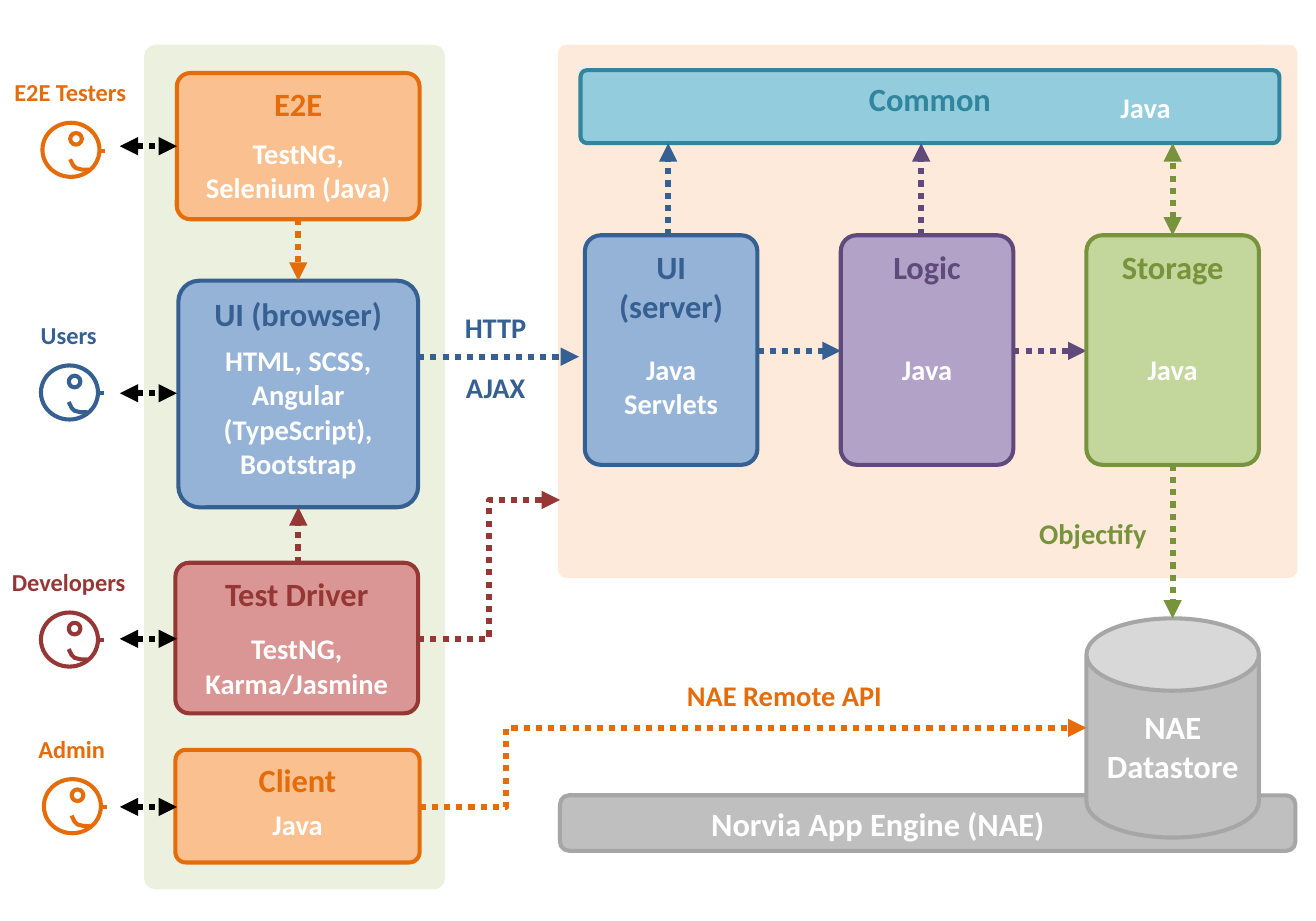
from dataclasses import dataclass

import pptx
import pptx.dml.color
import pptx.enum.dml
import pptx.enum.shapes
import pptx.enum.text
import pptx.oxml
import pptx.oxml.ns
import pptx.util

Inches = pptx.util.Inches
Shapes = pptx.enum.shapes.MSO_SHAPE
Anchor = pptx.enum.text.MSO_ANCHOR


@dataclass(frozen=True)
class Theme:
    """Colours as (fill, line) pairs, type sizes and line widths in points."""
    font: str = "Calibri"
    heading: int = 16
    body: int = 14
    caption: int = 12
    outline: int = 2
    flow: int = 3
    white: str = "FFFFFF"
    black: str = "000000"
    orange: tuple = ("FAC090", "E46C0A")
    blue: tuple = ("95B3D7", "376092")
    red: tuple = ("D99694", "953735")
    purple: tuple = ("B3A2C7", "604A7B")
    green: tuple = ("C3D69B", "77933C")
    teal: tuple = ("93CDDD", "31859C")
    grey: tuple = ("BFBFBF", "A6A6A6")
    client_area: tuple = ("EBF1DE", "EBF1DE")
    server_area: tuple = ("FDEADA", "FDEADA")


@dataclass(frozen=True)
class Box:
    """A rectangle in inches."""
    left: float
    top: float
    width: float
    height: float

    def inner(self, dx, dy, width, height):
        """Return a box offset from this one's top left corner."""
        return Box(self.left + dx, self.top + dy, width, height)

    def emu(self):
        """Return left, top, width and height as lengths."""
        return [Inches(v) for v in (self.left, self.top, self.width, self.height)]


THEME = Theme()


def rgb(code):
    """Turn a hex code into a colour."""
    return pptx.dml.color.RGBColor.from_string(code)


def write(shape, text, size, color, anchor=Anchor.TOP):
    """Put centred bold text into a shape."""
    frame = shape.text_frame
    frame.word_wrap = True
    frame.vertical_anchor = anchor
    frame.text = text
    for para in frame.paragraphs:
        para.alignment = pptx.enum.text.PP_ALIGN.CENTER
        para.font.name = THEME.font
        para.font.size = pptx.util.Pt(size)
        para.font.bold = True
        para.font.color.rgb = rgb(color)


def label(page, box, text, size, color, anchor=Anchor.TOP):
    """Add a text box."""
    write(page.shapes.add_textbox(*box.emu()), text, size, color, anchor)


def outline(shape, color):
    """Give a shape or connector a plain outline without a shadow."""
    shape.line.color.rgb = rgb(color)
    shape.line.width = pptx.util.Pt(THEME.outline)


def block(page, box, colors, kind=Shapes.ROUNDED_RECTANGLE, bend=None):
    """Add a filled, outlined shape."""
    shape = page.shapes.add_shape(kind, *box.emu())
    shape.shadow.inherit = False
    shape.fill.solid()
    shape.fill.fore_color.rgb = rgb(colors[0])
    outline(shape, colors[1])
    if bend is not None:
        shape.adjustments[0] = bend
    return shape


def component(page, box, colors, title, tech="", tech_dy=0):
    """Add a titled block with its technologies below the title."""
    write(block(page, box, colors, bend=0.092), title, THEME.heading, colors[1])
    if tech:
        tech_box = box.inner(0, tech_dy, box.width, box.height - tech_dy)
        label(page, tech_box, tech, THEME.body, THEME.white)


def connector(page, start, end, color, kind=pptx.enum.shapes.MSO_CONNECTOR.STRAIGHT):
    """Add a plain line between two points."""
    line = page.shapes.add_connector(kind, *[Inches(v) for v in (*start, *end)])
    outline(line, color)
    line._element.spPr.append(pptx.oxml.parse_xml(
        "<a:effectLst %s/>" % pptx.oxml.ns.nsdecls("a")))
    return line


def arrow(page, start, end, color, both=False, bend=None):
    """Add a dotted arrow; bend is the share of the width before an elbow."""
    kinds = pptx.enum.shapes.MSO_CONNECTOR
    line = connector(page, start, end, color,
                     kinds.STRAIGHT if bend is None else kinds.ELBOW)
    line.line.width = pptx.util.Pt(THEME.flow)
    line.line.dash_style = pptx.enum.dml.MSO_LINE.ROUND_DOT
    names = pptx.oxml.ns.nsdecls("a")
    for tag in ["headEnd", "tailEnd"] if both else ["tailEnd"]:
        line.line._ln.append(pptx.oxml.parse_xml(f'<a:{tag} {names} type="triangle"/>'))
    if bend is not None:
        guides = line._element.spPr.find(".//" + pptx.oxml.ns.qn("a:avLst"))
        guides.append(pptx.oxml.parse_xml(
            f'<a:gd {names} name="adj1" fmla="val {round(bend * 100000)}"/>'))


def person(page, box, color, name, name_box):
    """Draw a face looking right, with its name above."""
    label(page, name_box, name, THEME.caption, color)
    skin = (THEME.white, color)
    block(page, box, skin, Shapes.FLOWCHART_CONNECTOR)
    block(page, box.inner(0.19, 0.07, 0.08, 0.08), skin, Shapes.FLOWCHART_CONNECTOR)
    nose_y = box.top + 0.19
    connector(page, (box.left + 0.39, nose_y), (box.left + 0.43, nose_y), color)
    smile = [(0.32, 0.32), (0.27, 0.32), (0.23, 0.31), (0.21, 0.29), (0.19, 0.25)]
    points = [(Inches(box.left + x), Inches(box.top + y)) for x, y in smile]
    builder = page.shapes.build_freeform(*points[0])
    builder.add_line_segments(points[1:], close=False)
    mouth = builder.convert_to_shape()
    mouth.shadow.inherit = False
    mouth.fill.background()
    outline(mouth, color)


def client_panel(page, box):
    """Place the programs on the client side and the arrows among them."""
    block(page, box, THEME.client_area, bend=0.032)
    for place, colors, title, tech, tech_dy in [
        ((0.21, 0.18, 1.66, 1), THEME.orange, "E2E", "TestNG,\vSelenium (Java)", 0.38),
        ((0.22, 1.6, 1.64, 1.55), THEME.blue, "UI (browser)",
         "HTML, SCSS, Angular (TypeScript), Bootstrap", 0.38),
        ((0.2, 3.53, 1.66, 1.03), THEME.red, "Test Driver", "TestNG,\nKarma/Jasmine", 0.42),
        ((0.2, 4.81, 1.67, 0.77), THEME.orange, "Client", "Java", 0.34),
    ]:
        component(page, box.inner(*place), colors, title, tech, tech_dy)
    middle = box.left + 1.04
    arrow(page, (middle, box.top + 1.18), (middle, box.top + 1.6), THEME.orange[1])
    arrow(page, (middle, box.top + 3.53), (middle, box.top + 3.15), THEME.red[1])


def server_panel(page, box):
    """Place the server components and the arrows among them."""
    block(page, box, THEME.server_area, bend=0.013)
    common = box.inner(0.14, 0.16, 4.78, 0.5)
    component(page, common, THEME.teal, "Common")
    label(page, common.inner(3.2, 0, 1.33, 0.5), "Java", THEME.body, THEME.white,
          Anchor.MIDDLE)
    tiers = [
        (0.17, THEME.blue, "UI (server)", "Java Servlets", 0.74),
        (1.92, THEME.purple, "Logic", "Java", 2.47),
        (3.6, THEME.green, "Storage", "Java", 4.19),
    ]
    top, low, width = box.top + 1.29, box.top + 0.66, 1.18
    for index, (dx, colors, title, tech, link_dx) in enumerate(tiers):
        component(page, box.inner(dx, 1.29, width, 1.57), colors, title, tech, 0.75)
        link_x = box.left + link_dx
        arrow(page, (link_x, top), (link_x, low), colors[1], both=title == "Storage")
        if index + 1 < len(tiers):
            arrow(page, (box.left + dx + width, top + 0.79),
                  (box.left + tiers[index + 1][0], top + 0.79), colors[1])


def platform(page, box):
    """Place the hosting bar and its datastore cylinder."""
    block(page, box.inner(0, 1.21, box.width, 0.38), THEME.grey)
    label(page, box.inner(0.84, 1.21, 2.67, 0.38), "Norvia App Engine (NAE)",
          THEME.heading, THEME.white, Anchor.MIDDLE)
    store = block(page, box.inner(3.6, 0, 1.18, 1.5), THEME.grey, Shapes.CAN, 0.42)
    store.text_frame.margin_left = store.text_frame.margin_right = Inches(0.05)
    write(store, "NAE Datastore", THEME.heading, THEME.white, Anchor.MIDDLE)


def people(page, box):
    """Place the people down the left edge, each tied to a program."""
    for left, top, color, name, center, name_top, link_y in [
        (0.29, 0.84, THEME.orange[1], "E2E Testers", 0.48, 0.48, 1),
        (0.28, 2.5, THEME.blue[1], "Users", 0.47, 2.14, 2.69),
        (0.28, 4.19, THEME.red[1], "Developers", 0.47, 3.83, 4.37),
        (0.3, 5.33, THEME.orange[1], "Admin", 0.49, 4.97, 5.52),
    ]:
        person(page, box.inner(left, top, 0.39, 0.37), color, name,
               box.inner(center - 0.54, name_top, 1.08, 0.33))
        arrow(page, (box.left + 0.82, box.top + link_y),
              (box.left + 1.21, box.top + link_y), THEME.black, both=True)


def flows(page, box):
    """Join the regions with labelled arrows."""
    for start, end, color, bend in [
        ((2.86, 2.44), (3.96, 2.44), THEME.blue[1], None),
        ((2.86, 4.37), (3.83, 3.42), THEME.red[1], 0.5),
        ((2.87, 5.52), (7.43, 4.98), THEME.orange[1], 0.13),
        ((8.02, 3.18), (8.02, 4.23), THEME.green[1], None),
    ]:
        ends = [(box.left + x, box.top + y) for x, y in (start, end)]
        arrow(page, *ends, color, bend=bend)
    for place, text, color in [
        ((3.03, 2.07, 0.72, 0.33), "HTTP", THEME.blue[1]),
        ((3.03, 2.48, 0.72, 0.39), "AJAX", THEME.blue[1]),
        ((6.99, 3.48, 0.97, 0.4), "Objectify", THEME.green[1]),
        ((4.2, 4.59, 2.33, 0.33), "NAE Remote API", THEME.orange[1]),
    ]:
        label(page, box.inner(*place), text, THEME.body, color)


deck = pptx.Presentation()
deck.slide_width, deck.slide_height = Inches(9), Inches(6.3)
architecture = deck.slides.add_slide(deck.slide_layouts[6])
whole = Box(0, 0, 9, 6.3)
client_panel(architecture, Box(1, 0.32, 2.03, 5.75))
server_panel(architecture, Box(3.83, 0.32, 5.03, 3.62))
platform(architecture, Box(3.83, 4.23, 5.03, 1.59))
people(architecture, whole)
flows(architecture, whole)
deck.save("out.pptx")
